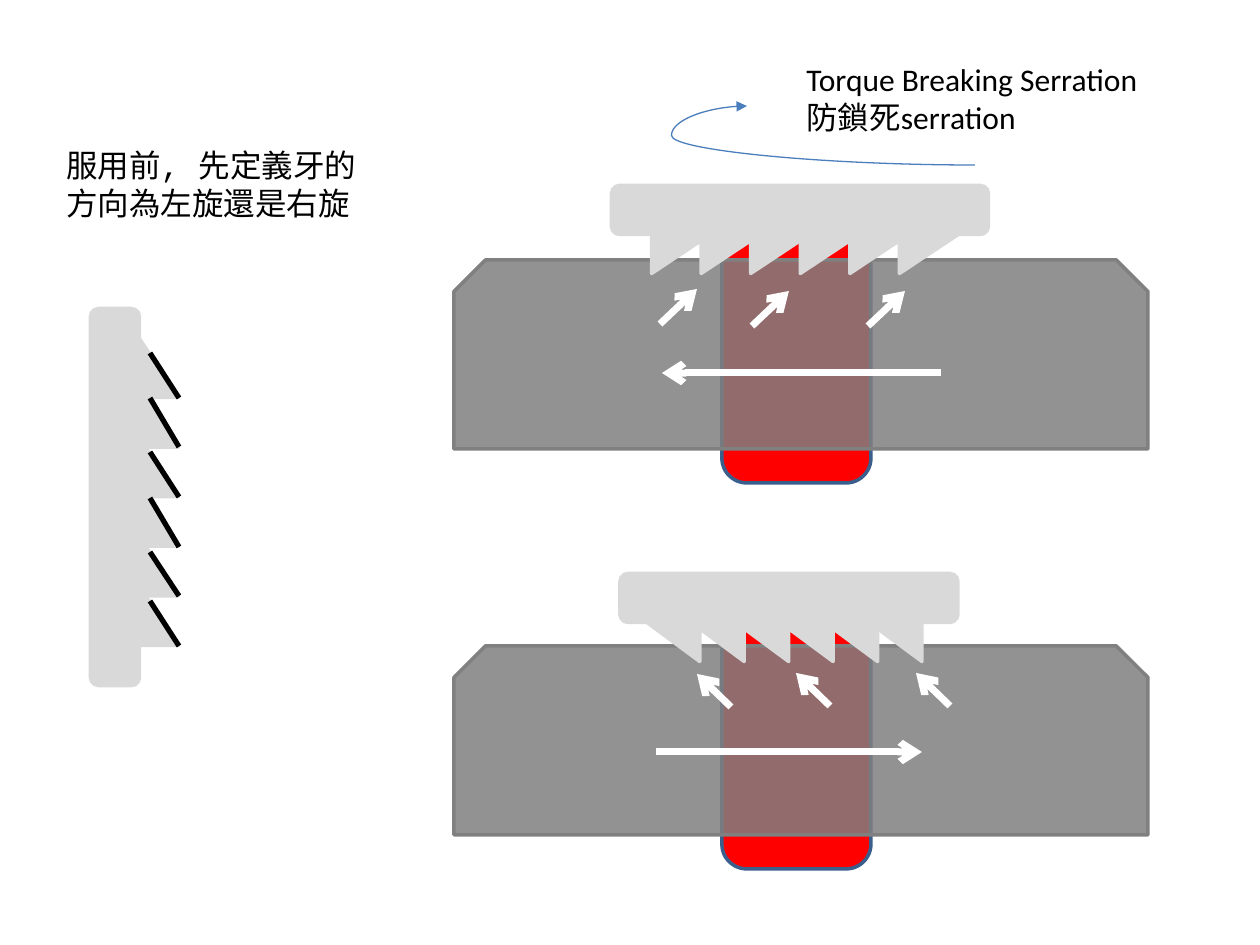
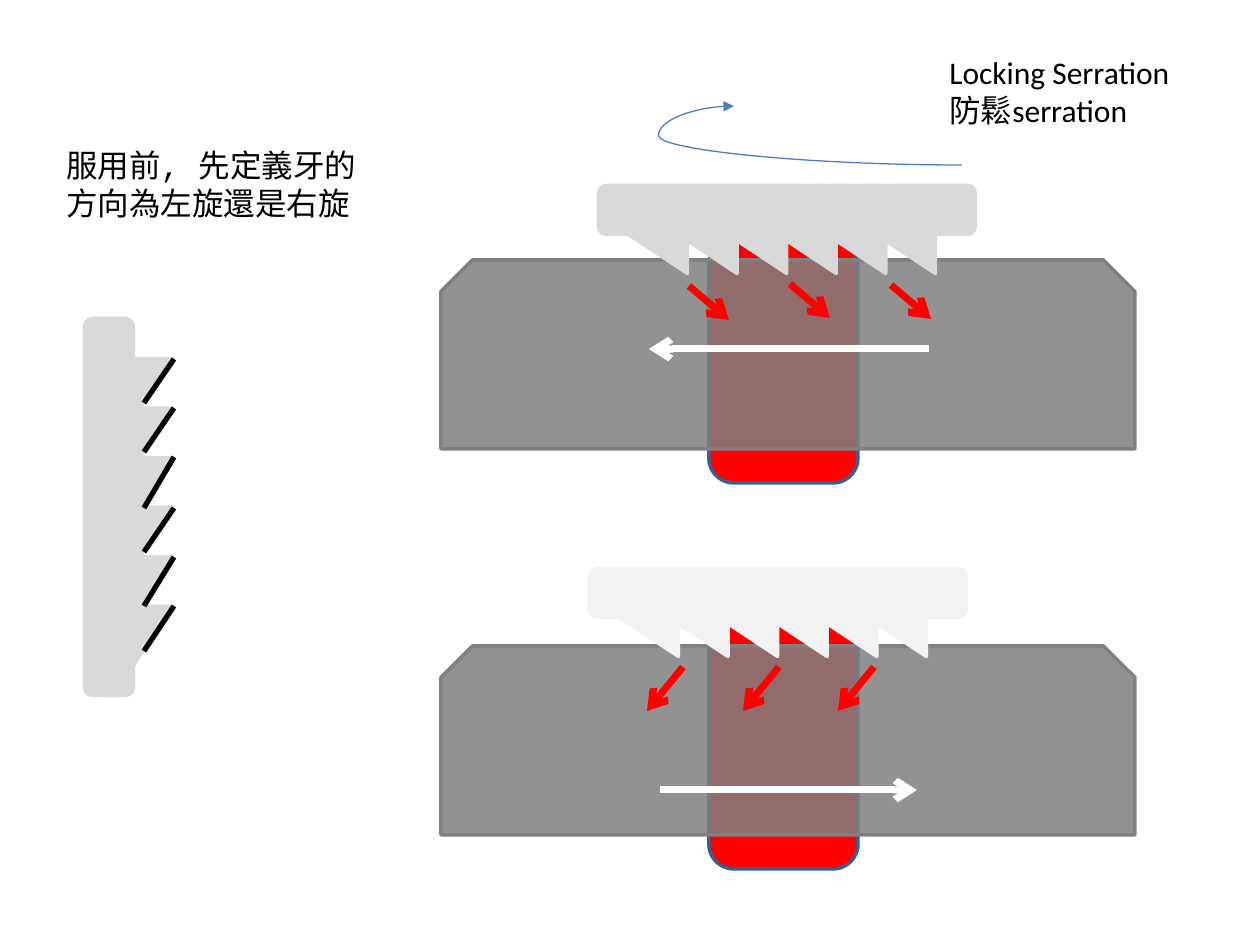
from dataclasses import dataclass
from lxml import etree
from pptx import Presentation
from pptx.dml.color import RGBColor
from pptx.enum.shapes import MSO_CONNECTOR as Connector, MSO_SHAPE as Preset
from pptx.enum.text import MSO_AUTO_SIZE as AutoSize
from pptx.oxml.ns import qn
from pptx.util import Emu, Pt

PX = 914400 // 126  # EMU in one pixel


@dataclass(frozen=True)
class Theme:
    ink: str = "000000"
    white: str = "FFFFFF"
    red: str = "FF0000"
    bolt_edge: str = "3A5F8C"
    nut: str = "808080"
    nut_alpha: int = 85
    washer: str = "D9D9D9"
    pale_washer: str = "F2F2F2"
    turn: str = "4B7EBC"
    caption_font: str = "Calibri"
    note_font: str = "Courier New"
    text_size: int = 18
    turn_width: float = 0.75
    outline: int = 2
    edge_width: int = 3
    arrow_width: int = 4


THEME = Theme()

# Content: lengths in pixels; combs give centre x, centre y, length
NOTE = ["服用前, 先定義牙的方向為左旋還是右旋"]
NOTE_BOX = (54, 140, 338, 89)
SLIDES = [
    dict(
        caption=["Torque Breaking Serration", "防鎖死serration"],
        caption_box=(794, 54, 392, 89),
        nut_left=454,
        side_comb=(115, 497, 377), side_at_end=False,
        edge_x=(150, 179),
        edges=[(353, 398), (398, 447), (452, 497),
               (498, 547), (552, 596), (601, 646)],
        joints=[
            dict(nut_top=260, comb=(800, 210, 377), at_end=True,
                 washer=THEME.washer, travel=(941, 662, 373),
                 force=THEME.white, push=(37, -35),
                 starts=[(660, 324), (752, 326), (868, 326)]),
            dict(nut_top=646, comb=(789, 598, 338), at_end=False,
                 washer=THEME.washer, travel=(656, 922, 752),
                 force=THEME.white, push=(-34, -33),
                 starts=[(731, 707), (830, 706), (950, 706)]),
        ],
    ),
    dict(
        caption=["Locking Serration", "防鬆serration"],
        caption_box=(937, 47, 268, 89),
        nut_left=441,
        side_comb=(109, 507, 377), side_at_end=True,
        edge_x=(174, 144),
        edges=[(359, 403), (408, 452), (457, 508),
               (508, 552), (557, 606), (606, 651)],
        joints=[
            dict(nut_top=260, comb=(787, 210, 377), at_end=False,
                 washer=THEME.washer, travel=(929, 649, 349),
                 force=THEME.red, push=(40, 34),
                 starts=[(689, 286), (790, 284), (891, 285)]),
            dict(nut_top=646, comb=(778, 593, 377), at_end=False,
                 washer=THEME.pale_washer, travel=(660, 917, 790),
                 force=THEME.red, push=(-36, 44),
                 starts=[(683, 667), (779, 667), (874, 667)]),
        ],
    ),
]

# Shared sizes
NUT_SIZE = (694, 189)
BOLT_SIZE = (149, 243)
BOLT_OFFSET = (268, -20)
TURN_OFFSET, TURN_TOP, TURN_SIZE = 293, 106, (228, 59)
TURN_BULGE = -33100
BAR_DEPTH, TOOTH_DEPTH, TOOTH_SHIFT = 49, 59, 34
TEETH, TOOTH_SHARE, STEP_SHARE = 6, 0.236, 0.1315


def emu(*pixels):
    return [Emu(round(value * PX)) for value in pixels]


def add_solid(shapes, preset, box, fill, edge, rotation=0, flip=False):
    shape = shapes.add_shape(preset, *emu(*box))
    shape.shadow.inherit = False
    shape.fill.solid()
    shape.fill.fore_color.rgb = RGBColor.from_string(fill)
    shape.line.color.rgb = RGBColor.from_string(edge)
    shape.line.width = Pt(THEME.outline)
    shape.rotation = rotation
    if flip:
        shape._element.spPr.find(qn("a:xfrm")).set("flipH", "1")
    return shape


def add_line(shapes, start, end, color, width, kind=Connector.STRAIGHT,
             head=None, tail=None):
    line = shapes.add_connector(kind, *emu(*start, *end))
    line.line.color.rgb = RGBColor.from_string(color)
    line.line.width = Pt(width)
    properties = line._element.spPr
    for tag, style in (("a:headEnd", head), ("a:tailEnd", tail)):
        if style:
            etree.SubElement(properties.find(qn("a:ln")), qn(tag), type=style)
    etree.SubElement(properties, qn("a:effectLst"))
    return line


def add_text(page, box, lines, font):
    frame = page.shapes.add_textbox(*emu(*box)).text_frame
    frame.word_wrap = True
    frame.auto_size = AutoSize.SHAPE_TO_FIT_TEXT
    frame.text = "\n".join(lines)
    for para in frame.paragraphs:
        para.font.name = font
        para.font.size = Pt(THEME.text_size)
        para.font.color.rgb = RGBColor.from_string(THEME.ink)


def add_comb(shapes, comb, at_end, color, upright=False):
    """Draw a washer bar whose teeth begin or finish flush with one end."""
    center_x, center_y, length = comb

    def part(preset, along, across, width, depth, rotation, flip=False):
        dx, dy = (across, along) if upright else (along, across)
        box = (center_x + dx - width / 2, center_y + dy - depth / 2, width, depth)
        add_solid(shapes, preset, box, color, color, rotation, flip)

    part(Preset.ROUNDED_RECTANGLE, 0, 0, length, BAR_DEPTH, 270 if upright else 0)
    tooth, step = length * TOOTH_SHARE, length * STEP_SHARE
    first = (tooth - length) / 2
    if at_end:
        first = -first - (TEETH - 1) * step
    for index in range(TEETH):
        part(Preset.RIGHT_TRIANGLE, first + index * step, TOOTH_SHIFT, tooth,
             TOOTH_DEPTH, 90 if upright else 180, at_end != upright)


def add_joint(page, nut_left, joint):
    shapes = page.shapes.add_group_shape().shapes
    # Bolt behind a translucent nut
    top = joint["nut_top"]
    bolt_place = (nut_left + BOLT_OFFSET[0], top + BOLT_OFFSET[1])
    add_solid(shapes, Preset.ROUNDED_RECTANGLE, bolt_place + BOLT_SIZE,
              THEME.red, THEME.bolt_edge)
    nut = add_solid(shapes, Preset.SNIP_2_SAME_RECTANGLE,
                    (nut_left, top) + NUT_SIZE, THEME.nut, THEME.nut)
    tint = nut._element.spPr.find(qn("a:solidFill"))[0]
    etree.SubElement(tint, qn("a:alpha"), val=str(THEME.nut_alpha * 1000))
    # Serrated washer
    add_comb(shapes, joint["comb"], joint["at_end"], joint["washer"])
    # Travel and force arrows
    start_x, end_x, y = joint["travel"]
    arrows = [((start_x, y), (end_x, y), THEME.white)]
    push_x, push_y = joint["push"]
    arrows += [((x, y), (x + push_x, y + push_y), joint["force"])
               for x, y in joint["starts"]]
    for start, end, color in arrows:
        add_line(shapes, start, end, color, THEME.arrow_width, tail="arrow")


def add_turn(page, nut_left):
    left = nut_left + TURN_OFFSET
    end = (left + TURN_SIZE[0], TURN_TOP + TURN_SIZE[1])
    turn = add_line(page.shapes, (left, TURN_TOP), end, THEME.turn,
                    THEME.turn_width, Connector.CURVE, head="triangle")
    guides = turn._element.spPr.find(qn("a:prstGeom")).find(qn("a:avLst"))
    etree.SubElement(guides, qn("a:gd"), name="adj1", fmla=f"val {TURN_BULGE}")


deck = Presentation()
deck.slide_width, deck.slide_height = emu(1260, 945)
for content in SLIDES:
    page = deck.slides.add_slide(deck.slide_layouts[6])
    # Turning direction and texts
    add_turn(page, content["nut_left"])
    add_text(page, content["caption_box"], content["caption"], THEME.caption_font)
    add_text(page, NOTE_BOX, NOTE, THEME.note_font)
    # Upright washer with marked tooth edges
    side = page.shapes.add_group_shape().shapes
    add_comb(side, content["side_comb"], content["side_at_end"],
             THEME.washer, upright=True)
    top_x, bottom_x = content["edge_x"]
    for top, bottom in content["edges"]:
        add_line(page.shapes, (top_x, top), (bottom_x, bottom),
                 THEME.ink, THEME.edge_width)
    # Bolted joints
    for joint in content["joints"]:
        add_joint(page, content["nut_left"], joint)

deck.save("out.pptx")
